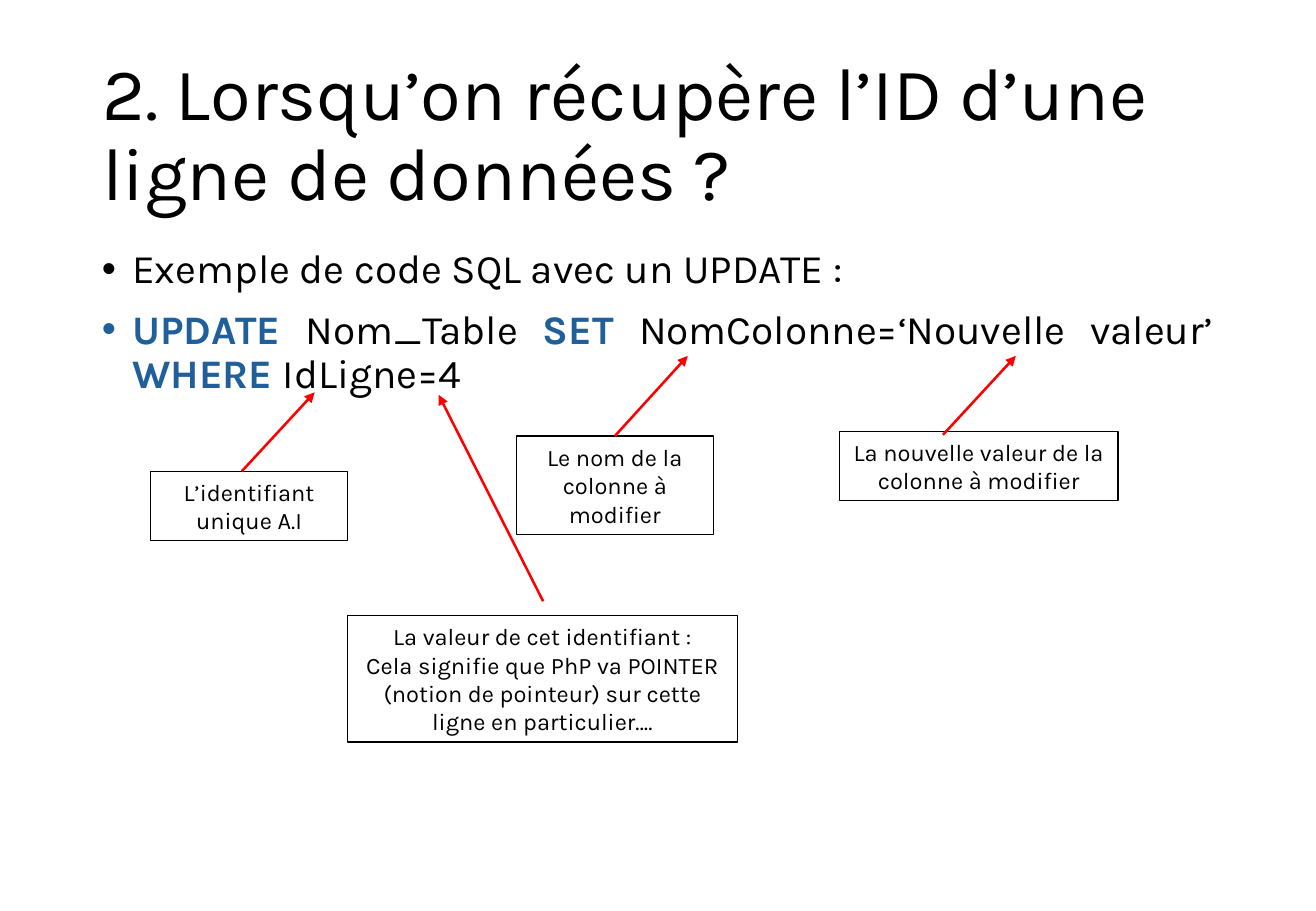
from lxml import etree
from pptx import Presentation
from pptx import util as u
from pptx.dml.color import RGBColor
from pptx.enum import shapes, text
from pptx.oxml.ns import qn

COLORS = {"ink": "000000", "keyword": "215F9A", "arrow": "FF0000"}
CELL = u.Inches(0.1)  # side of one grid cell
COLUMNS, ROWS = 108.3, 75
TOP = 0  # connection site at the middle of a box's top side


class SqlSlide:
    """Style and current slide; every length is in grid columns and rows."""

    font_name = "Karla"
    frame_format = {"word_wrap": True, "auto_size": text.MSO_AUTO_SIZE.NONE}
    title_format = {"alignment": text.PP_ALIGN.LEFT, "line_spacing": 0.9}
    bullet_format = {"alignment": text.PP_ALIGN.JUSTIFY, "line_spacing": 0.9,
                     "space_before": u.Pt(10)}
    label_format = {"alignment": text.PP_ALIGN.CENTER}

    def __init__(self, deck):
        self.slide = deck.slides.add_slide(deck.slide_layouts[5])

    @staticmethod
    def cells(*lengths):
        return [round(length * CELL) for length in lengths]

    @staticmethod
    def apply(target, formats):
        for name, value in formats.items():
            setattr(target, name, value)

    def fill_text(self, frame, paragraphs, size, formats, anchor):
        """Fill a frame; each paragraph is a list of (words, color, bold)."""
        self.apply(frame, {**self.frame_format, "vertical_anchor": anchor})
        for index, runs in enumerate(paragraphs):
            paragraph = frame.add_paragraph() if index else frame.paragraphs[0]
            self.apply(paragraph, formats)
            for words, color, bold in runs:
                run = paragraph.add_run()
                run.text = words
                self.apply(run.font, {"name": self.font_name, "size": u.Pt(size),
                                      "bold": bold})
                run.font.color.rgb = RGBColor.from_string(COLORS[color])

    def title(self, area, words):
        heading = self.slide.shapes.title
        self.apply(heading, dict(zip(("left", "top", "width", "height"),
                                     self.cells(*area))))
        self.fill_text(heading.text_frame, [[(words, "ink", False)]], 44,
                       self.title_format, text.MSO_ANCHOR.MIDDLE)

    def bullets(self, area, paragraphs):
        body = self.slide.shapes.add_textbox(*self.cells(*area))
        self.fill_text(body.text_frame, paragraphs, 24, self.bullet_format,
                       text.MSO_ANCHOR.TOP)
        indent = u.Inches(0.25)
        for paragraph in body.text_frame.paragraphs:
            properties = paragraph._p.get_or_add_pPr()
            properties.set("marL", str(indent))
            properties.set("indent", str(-indent))
            etree.SubElement(properties, qn("a:buFont"), typeface="Arial")
            etree.SubElement(properties, qn("a:buChar"), char="•")

    def label(self, area, lines):
        box = self.slide.shapes.add_shape(shapes.MSO_SHAPE.RECTANGLE,
                                          *self.cells(*area))
        box.shadow.inherit = False
        box.fill.background()
        box.line.color.rgb = RGBColor.from_string(COLORS["ink"])
        box.line.width = u.Pt(0.75)
        self.fill_text(box.text_frame, [[(line, "ink", False)] for line in lines],
                       14, self.label_format, text.MSO_ANCHOR.MIDDLE)
        return box

    def arrow(self, start, end, source=None):
        pointer = self.slide.shapes.add_connector(
            shapes.MSO_CONNECTOR.STRAIGHT, *self.cells(*start, *end))
        if source is not None:
            pointer.begin_connect(source, TOP)
        pointer.line.color.rgb = RGBColor.from_string(COLORS["arrow"])
        pointer.line.width = u.Pt(1.5)
        etree.SubElement(pointer.line._get_or_add_ln(), qn("a:tailEnd"),
                         type="triangle")
        etree.SubElement(pointer._element.spPr, qn("a:effectLst"))


def main():
    deck = Presentation()
    deck.slide_width, deck.slide_height = SqlSlide.cells(COLUMNS, ROWS)
    page = SqlSlide(deck)

    # Title and SQL example
    page.title((7.4, 4, 93.4, 14.5),
               "2. Lorsqu’on récupère l’ID d’une ligne de données ?")
    page.bullets((7.4, 20, 93.4, 15.8), [
        [("Exemple de code SQL avec un UPDATE :", "ink", False)],
        [("UPDATE ", "keyword", True), ("Nom_Table ", "ink", False),
         ("SET ", "keyword", True),
         ("NomColonne=‘Nouvelle valeur’ ", "ink", False),
         ("WHERE ", "keyword", True), ("IdLigne=4", "ink", False)],
    ])

    # Explanations of the parts of the query
    page.label((12.4, 38.8, 16.2, 5.7), ["L’identifiant unique A.I"])
    page.label((28.6, 50.7, 32.1, 10.4), [
        "La valeur de cet identifiant :",
        "Cela signifie que PhP va POINTER (notion de pointeur) sur cette "
        "ligne en particulier….",
    ])
    column_name = page.label((42.5, 35.9, 16.2, 8.1),
                             ["Le nom de la colonne à modifier"])
    page.label((69.1, 35.5, 22.9, 5.7),
               ["La nouvelle valeur de la colonne à modifier"])

    # Arrows from the explanations to the query
    for x, y, source in ((19.9, 38.8, None), (50.6, 35.8, column_name),
                         (77.6, 35.8, None)):
        page.arrow((x, y), (x + 6, y - 6.5), source)
    page.arrow((44.7, 49.5), (36.1, 32.5))

    deck.save("out.pptx")


if __name__ == "__main__":
    main()
